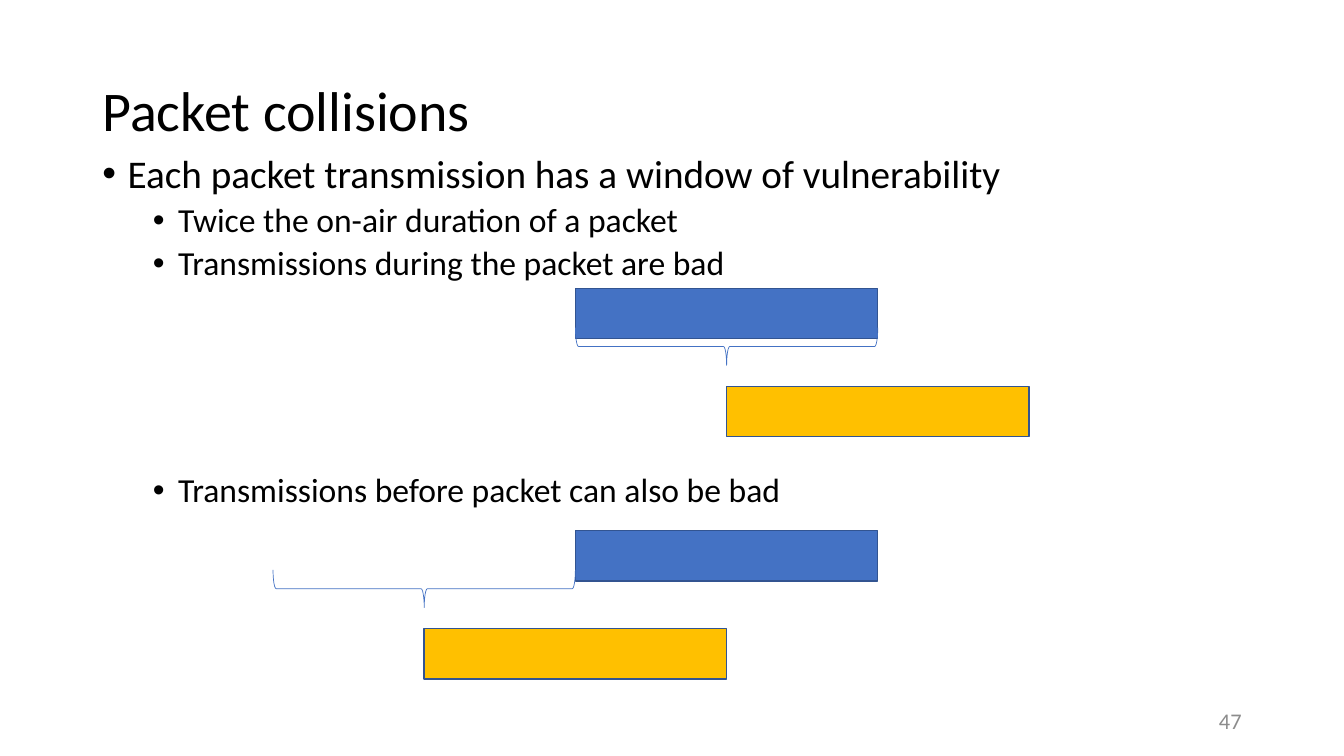
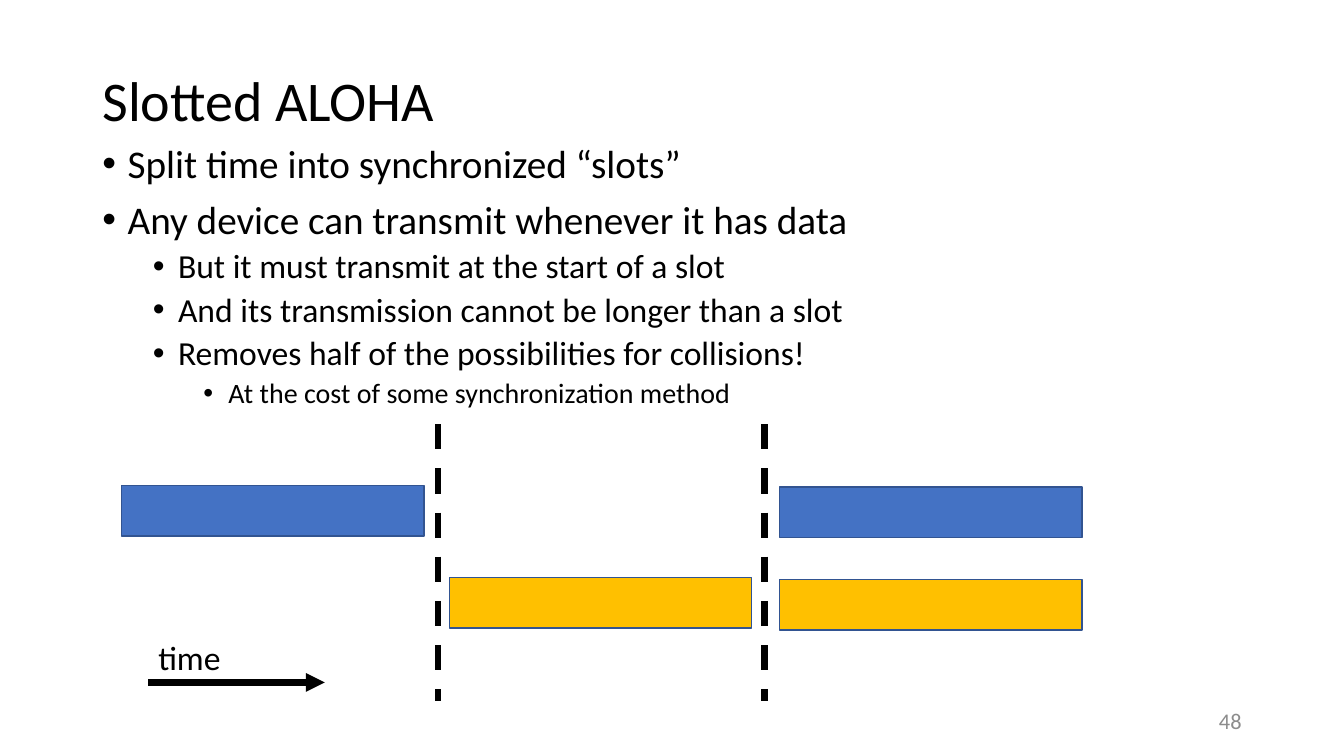
from dataclasses import dataclass

from lxml.etree import SubElement
from pptx import Presentation
from pptx.dml.color import RGBColor
from pptx.enum.dml import MSO_LINE
from pptx.enum.shapes import MSO_CONNECTOR, MSO_SHAPE
from pptx.enum.text import MSO_ANCHOR, MSO_AUTO_SIZE, PP_ALIGN
from pptx.oxml.ns import qn
from pptx.presentation import Presentation as Deck
from pptx.shapes.connector import Connector
from pptx.slide import Slide
from pptx.text.text import _Paragraph as Paragraph
from pptx.util import Pt

COLORS = {
    "text": "000000",
    "number": "8C8C8C",
    "blue": "4472C4",
    "gold": "FFC000",
    "outline": "325491",
}
FONT = "Calibri"
LEVEL_SIZES = (28, 24, 20)
LEVEL_SPACING = (10, 5, 5)
LEFT, WIDTH = 66, 828
BAR_WIDTH, BAR_HEIGHT = 216, 36
BRACE_DEPTH, BRACE_DROP, PACKET_DROP = 27, 5.5, 70


@dataclass(frozen=True)
class Bullet:
    text: str
    level: int = 0
    space_before: float | None = None


@dataclass(frozen=True)
class Bar:
    left: float
    top: float
    color: str


@dataclass(frozen=True)
class Collision:
    packet: Bar
    window_left: float


@dataclass(frozen=True)
class Stroke:
    start: tuple[float, float]
    end: tuple[float, float]


def color(name: str) -> RGBColor:
    return RGBColor.from_string(COLORS[name])


def format_runs(para: Paragraph, size: float, color_name: str = "text") -> None:
    for span in para.runs:
        span.font.name = FONT
        span.font.size = Pt(size)
        span.font.color.rgb = color(color_name)


def place(box, left: float, top: float, width: float, height: float) -> None:
    box.left, box.top, box.width, box.height = map(Pt, (left, top, width, height))


def add_bullet_mark(para: Paragraph, level: int) -> None:
    properties = para._p.get_or_add_pPr()
    properties.set("marL", str(Pt(18 + 36 * level)))
    properties.set("indent", str(-Pt(18)))
    SubElement(properties, qn("a:buFont"), typeface="Arial")
    SubElement(properties, qn("a:buChar"), char="•")


def fill_body(body, bullets: list[Bullet]) -> None:
    frame = body.text_frame
    frame.auto_size = MSO_AUTO_SIZE.NONE
    for index, bullet in enumerate(bullets):
        para = frame.paragraphs[0] if index == 0 else frame.add_paragraph()
        para.text = bullet.text
        para.level = bullet.level
        add_bullet_mark(para, bullet.level)
        spacing = bullet.space_before or LEVEL_SPACING[bullet.level]
        para.space_before = Pt(spacing if index else 0)
        para.space_after = Pt(0)
        para.line_spacing = 0.9
        format_runs(para, LEVEL_SIZES[bullet.level])


def add_page(deck: Deck, title: str, title_top: float, bullets: list[Bullet], number: int) -> Slide:
    page = deck.slides.add_slide(deck.slide_layouts[1])
    heading, body = page.shapes.title, page.placeholders[1]
    place(heading, LEFT, title_top, WIDTH, 104.4)
    heading.text_frame.text = title
    heading.text_frame.auto_size = MSO_AUTO_SIZE.NONE
    heading.text_frame.vertical_anchor = MSO_ANCHOR.MIDDLE
    para = heading.text_frame.paragraphs[0]
    para.alignment = PP_ALIGN.LEFT
    para.line_spacing = 0.9
    format_runs(para, 40)
    place(body, LEFT, title_top + 77.8, WIDTH, 343)
    fill_body(body, bullets)
    add_label(page, str(number), (678, 500.5, 216, 28.8), 16, "number", PP_ALIGN.RIGHT)
    return page


def add_label(page: Slide, text: str, area: tuple[float, float, float, float], size: float,
              color_name: str = "text", alignment: PP_ALIGN = PP_ALIGN.LEFT) -> None:
    box = page.shapes.add_textbox(*map(Pt, area))
    frame = box.text_frame
    frame.word_wrap = True
    frame.vertical_anchor = MSO_ANCHOR.MIDDLE
    frame.text = text
    frame.paragraphs[0].alignment = alignment
    format_runs(frame.paragraphs[0], size, color_name)


def add_bar(page: Slide, bar: Bar) -> None:
    box = page.shapes.add_shape(
        MSO_SHAPE.RECTANGLE, Pt(bar.left), Pt(bar.top), Pt(BAR_WIDTH), Pt(BAR_HEIGHT))
    box.shadow.inherit = False
    box.fill.solid()
    box.fill.fore_color.rgb = color(bar.color)
    box.line.color.rgb = color("outline")
    box.line.width = Pt(1)


def add_brace(page: Slide, center_x: float, center_y: float) -> None:
    brace = page.shapes.add_shape(
        MSO_SHAPE.RIGHT_BRACE, Pt(center_x - BRACE_DEPTH / 2), Pt(center_y - BAR_WIDTH / 2),
        Pt(BRACE_DEPTH), Pt(BAR_WIDTH))
    brace.rotation = 90
    brace.shadow.inherit = False
    brace.fill.background()
    brace.line.color.rgb = color("blue")
    brace.line.width = Pt(0.5)


def add_collision(page: Slide, collision: Collision) -> None:
    packet = collision.packet
    middle = collision.window_left + BAR_WIDTH / 2
    add_bar(page, packet)
    add_bar(page, Bar(middle, packet.top + PACKET_DROP, "gold"))
    add_brace(page, middle, packet.top + BAR_HEIGHT + BRACE_DROP)


def add_stroke(page: Slide, stroke: Stroke) -> Connector:
    line = page.shapes.add_connector(
        MSO_CONNECTOR.STRAIGHT, *map(Pt, (*stroke.start, *stroke.end)))
    line.line.color.rgb = color("text")
    line.line.width = Pt(4.5)
    SubElement(line._element.spPr, qn("a:effectLst"))
    return line


def build_collisions(deck: Deck) -> None:
    page = add_page(deck, "Packet collisions", 28.8, [
        Bullet("Each packet transmission has a window of vulnerability"),
        Bullet("Twice the on-air duration of a packet", 1),
        Bullet("Transmissions during the packet are bad", 1),
        Bullet("Transmissions before packet can also be bad", 1, 136),
    ], 47)
    packet_left = 411
    for collision in (
        Collision(Bar(packet_left, 206, "blue"), packet_left),
        Collision(Bar(packet_left, 379, "blue"), packet_left - BAR_WIDTH),
    ):
        add_collision(page, collision)


def build_slotted(deck: Deck) -> None:
    page = add_page(deck, "Slotted ALOHA", 21.6, [
        Bullet("Split time into synchronized “slots”"),
        Bullet("Any device can transmit whenever it has data"),
        Bullet("But it must transmit at the start of a slot", 1),
        Bullet("And its transmission cannot be longer than a slot", 1),
        Bullet("Removes half of the possibilities for collisions!", 1),
        Bullet("At the cost of some synchronization method", 2),
    ], 48)
    for bar in (
        Bar(87, 347, "blue"),
        Bar(321, 412.5, "gold"),
        Bar(557, 414, "gold"),
        Bar(557, 348, "blue"),
    ):
        add_bar(page, bar)
    for slot_edge in (313, 546):
        divider = add_stroke(page, Stroke((slot_edge, 303), (slot_edge, 500.5)))
        divider.line.dash_style = MSO_LINE.DASH
    arrow = add_stroke(page, Stroke((106, 487.5), (232, 487.5)))
    SubElement(arrow.line._get_or_add_ln(), qn("a:tailEnd"), type="triangle")
    add_label(page, "time", (106, 451, 103, 36), 24)


def main() -> None:
    deck = Presentation()
    deck.slide_width, deck.slide_height = Pt(960), Pt(540)
    build_collisions(deck)
    build_slotted(deck)
    deck.save("out.pptx")


if __name__ == "__main__":
    main()
